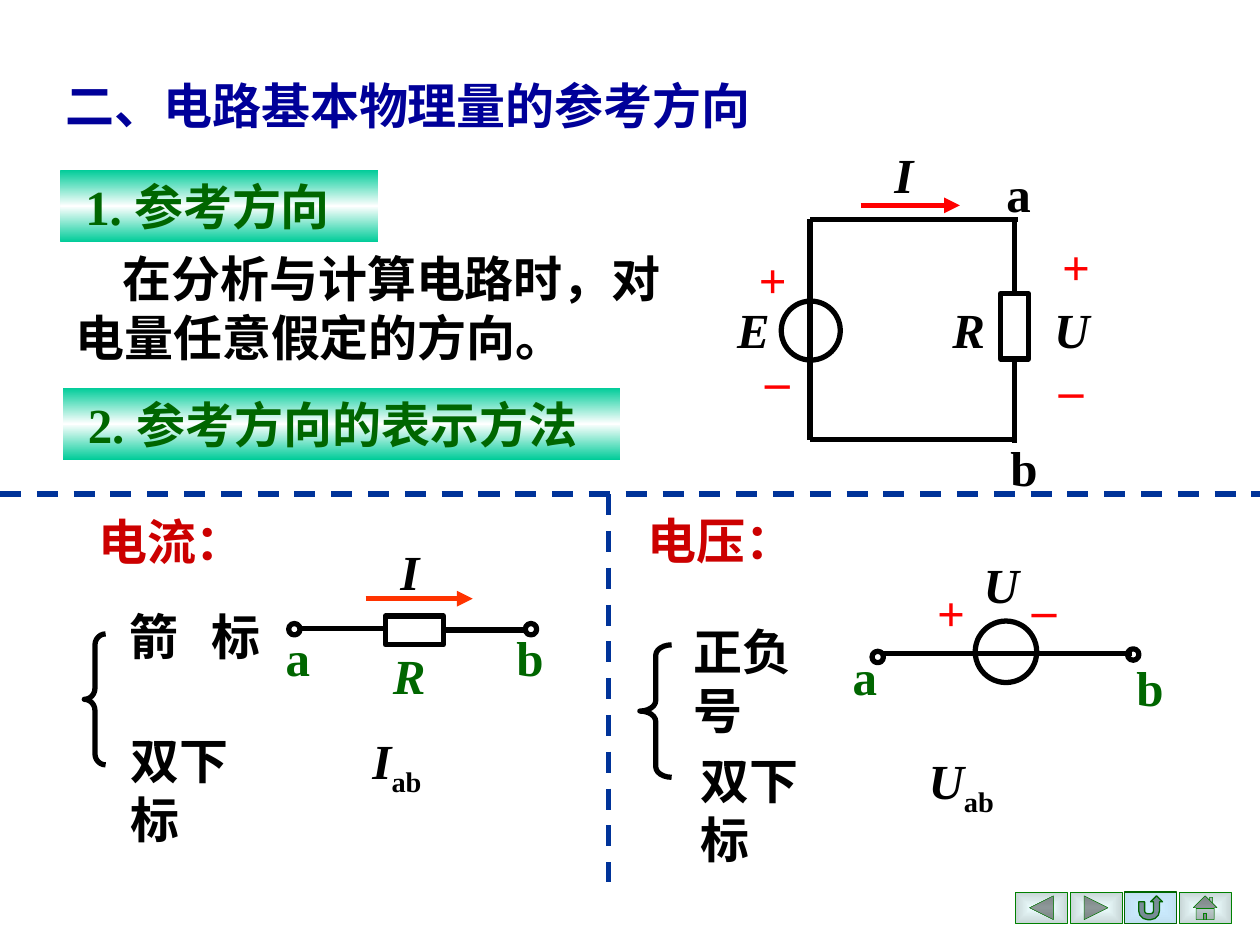
from lxml.etree import SubElement
from pptx import Presentation
from pptx.dml.color import RGBColor
from pptx.enum.dml import MSO_LINE
from pptx.enum.shapes import MSO_CONNECTOR, MSO_SHAPE
from pptx.enum.text import MSO_ANCHOR, MSO_AUTO_SIZE
from pptx.oxml import parse_xml
from pptx.oxml.ns import nsdecls, qn
from pptx.util import Cm, Pt

BLACK, RED, GREEN = "000000", "FF0000", "006600"
CRIMSON, NAVY, DIVIDER, ORANGE = "CC0000", "000099", "003399", "FF3300"
SERIF, SANS = "Times New Roman", "Lato"
LINE_HEIGHT = 1.45


def color(value):
    return RGBColor.from_string(value)


def add_span(para, text, tint, italic=False, font=SERIF, subscript=False):
    span = para.add_run()
    span.text = text
    span.font.name = font
    span.font.size = Pt(28)
    span.font.bold = True
    span.font.italic = italic
    span.font.color.rgb = color(tint)
    if subscript:
        span.font._element.set("baseline", "-25000")


def add_label(page, text, left, top, width, tint=BLACK, italic=False,
              wrap=False, height=LINE_HEIGHT, spacing=None):
    box = page.shapes.add_textbox(Cm(left), Cm(top), Cm(width), Cm(height))
    frame = box.text_frame
    frame.word_wrap = wrap
    frame.auto_size = MSO_AUTO_SIZE.SHAPE_TO_FIT_TEXT
    para = frame.paragraphs[0]
    if spacing:
        para.line_spacing = spacing
    add_span(para, text, tint, italic)
    return para


def set_indent(para, first_line):
    para._p.get_or_add_pPr().set("indent", str(Cm(first_line)))


def set_tab(para, position):
    stops = SubElement(para._p.get_or_add_pPr(), qn("a:tabLst"))
    SubElement(stops, qn("a:tab"), pos=str(Cm(position)), algn="l")


def set_gradient(shape, stops, direction):
    marks = "".join(f'<a:gs pos="{place * 1000}"><a:srgbClr val="{tint}"/></a:gs>'
                    for place, tint in stops)
    gradient = parse_xml(f'<a:gradFill {nsdecls("a")} rotWithShape="1">'
                         f'<a:gsLst>{marks}</a:gsLst>{direction}</a:gradFill>')
    shape._element.spPr.find(qn("a:prstGeom")).addnext(gradient)


def add_outline(page, kind, left, top, width, height, tint=BLACK, weight=3):
    shape = page.shapes.add_shape(kind, Cm(left), Cm(top), Cm(width), Cm(height))
    shape.shadow.inherit = False
    shape.fill.background()
    shape.line.color.rgb = color(tint)
    shape.line.width = Pt(weight)
    return shape


def add_circle(page, left, top, size):
    add_outline(page, MSO_SHAPE.OVAL, left, top, size, size)


def add_brace(page, left, top, width, height, curve):
    brace = add_outline(page, MSO_SHAPE.LEFT_BRACE, left, top, width, height)
    brace.adjustments[0] = curve


def add_wire(page, start, end, tint=BLACK, dashed=False, arrow=False):
    wire = page.shapes.add_connector(MSO_CONNECTOR.STRAIGHT, *map(Cm, start + end))
    wire.line.color.rgb = color(tint)
    wire.line.width = Pt(3)
    if dashed:
        wire.line.dash_style = MSO_LINE.DASH
    if arrow:
        SubElement(wire.line._get_or_add_ln(), qn("a:tailEnd"), type="triangle")
    SubElement(wire._element.spPr, qn("a:effectLst"))


def add_banner(page, number, text, left, top, width):
    banner = page.shapes.add_shape(MSO_SHAPE.RECTANGLE, Cm(left), Cm(top),
                                   Cm(width), Cm(LINE_HEIGHT))
    banner.shadow.inherit = False
    banner.line.fill.background()
    set_gradient(banner, [(0, "00CC99"), (50, "FFFFFF"), (100, "00CC99")],
                 '<a:lin ang="5400000" scaled="0"/>')
    frame = banner.text_frame
    frame.word_wrap = True
    frame.vertical_anchor = MSO_ANCHOR.TOP
    frame.margin_left = Cm(0.5)
    para = frame.paragraphs[0]
    para.alignment = 1
    add_span(para, number + " ", GREEN)
    add_span(para, text, GREEN, font=SANS)


def add_button(page, kind, left, stops, tint, weight):
    button = add_outline(page, kind, left, 17.98, 1.05, 0.64, tint, weight)
    button._element.spPr.remove(button._element.spPr.find(qn("a:noFill")))
    set_gradient(button, stops, '<a:path path="rect"><a:fillToRect l="50000" '
                 't="50000" r="50000" b="50000"/></a:path>')


def add_navigation(page):
    grey = [(0, "ECFDFE"), (100, "C7D5D6")], "008000", 0.25
    blue = [(0, "CCECFF"), (100, "C1E0F2")], GREEN, 0.75
    buttons = [(MSO_SHAPE.ACTION_BUTTON_BACK_OR_PREVIOUS, grey),
               (MSO_SHAPE.ACTION_BUTTON_FORWARD_OR_NEXT, grey),
               (MSO_SHAPE.ACTION_BUTTON_RETURN, blue),
               (MSO_SHAPE.ACTION_BUTTON_HOME, grey)]
    for index, (kind, style) in enumerate(buttons):
        add_button(page, kind, 20.47 + 1.1 * index, *style)


def add_introduction(page):
    add_label(page, "二、电路基本物理量的参考方向", 1.07, 1.17, 16.31, NAVY,
              wrap=True, height=1.68, spacing=1.2)
    add_banner(page, "1.", "参考方向", 1.22, 3.43, 6.4)
    body = add_label(page, "在分析与计算电路时，对电量任意假定的方向。",
                     1.27, 4.88, 13.23, wrap=True, height=2.64)
    set_indent(body, 0.95)
    add_banner(page, "2.", "参考方向的表示方法", 1.27, 7.82, 11.23)


def add_circuit(page):
    left, right, top, bottom = 16.33, 20.45, 4.42, 8.86
    add_wire(page, (17.35, 4.14), (19.35, 4.14), RED, arrow=True)
    for start, end in [((left, top), (20.52, top)),
                       ((left, bottom), (20.5, bottom)),
                       ((left, top), (left, bottom)),
                       ((right, top), (right, 5.89)),
                       ((right, 7.19), (right, 8.94))]:
        add_wire(page, start, end)
    add_circle(page, 15.75, 6.07, 1.19)
    add_outline(page, MSO_SHAPE.RECTANGLE, 20.17, 5.92, 0.56, 1.32)
    for label in [("I", 17.78, 2.79, 1.47, BLACK, True, True),
                  ("a", 20.04, 3.18, 0.99),
                  ("b", 20.12, 8.69, 1.04),
                  ("E", 14.61, 5.92, 1.17, BLACK, True),
                  ("R", 18.95, 5.92, 1.17, BLACK, True),
                  ("U", 21, 5.92, 1.22, BLACK, True),
                  ("+", 15.04, 4.9, 1.07, RED, True),
                  ("_", 15.24, 6.6, 0.99, RED, True),
                  ("+", 21.16, 4.65, 2.34, RED, False, True),
                  ("_", 21.16, 6.78, 1.27, RED, True, True)]:
        add_label(page, *label)


def add_current(page):
    add_label(page, "电流：", 1.73, 9.96, 4.62, CRIMSON, wrap=True,
              height=1.68, spacing=1.2)
    add_brace(page, 1.7, 12.78, 0.43, 2.64, 0.52)
    arrow_mark = add_label(page, "箭\t标", 2.36, 11.86, 4.19, wrap=True,
                           height=1.68, spacing=1.2)
    set_tab(arrow_mark, 1.65)
    add_wire(page, (6.02, 12.67), (7.77, 12.67))
    add_wire(page, (8.89, 12.7), (10.59, 12.7))
    add_outline(page, MSO_SHAPE.RECTANGLE, 7.77, 12.42, 1.17, 0.58)
    add_wire(page, (7.37, 12.07), (9.53, 12.07), ORANGE, arrow=True)
    for left in (5.82, 10.59):
        add_circle(page, left, 12.57, 0.23)
    for label in [("I", 7.82, 10.8, 1.27, BLACK, True, True),
                  ("a", 5.51, 12.52, 0.99, GREEN),
                  ("b", 10.16, 12.52, 1.04, GREEN),
                  ("R", 7.67, 12.88, 1.17, GREEN, True),
                  ("双下标", 2.39, 14.61, 3.45)]:
        add_label(page, *label)
    symbol = add_label(page, "I", 7.26, 14.61, 1.5, italic=True, height=1.6)
    add_span(symbol, "ab", BLACK, subscript=True)


def add_voltage(page):
    add_brace(page, 12.9, 13, 0.64, 2.67, 0.33)
    add_wire(page, (22.83, 13.18), (17.75, 13.18))
    add_circle(page, 19.66, 12.52, 1.24)
    add_circle(page, 22.73, 13.08, 0.23)
    add_circle(page, 17.58, 13.13, 0.23)
    for label in [("电压：", 12.8, 10.16, 3.45, CRIMSON),
                  ("正负号", 13.74, 12.4, 3.45),
                  ("双下标", 13.87, 15.01, 3.45),
                  ("+", 18.64, 11.61, 1.07, RED),
                  ("–", 20.55, 11.53, 0.99, RED),
                  ("a", 16.94, 12.9, 0.99, GREEN),
                  ("b", 22.66, 13.13, 1.04, GREEN)]:
        add_label(page, *label)
    add_label(page, "U", 19.58, 11.38, 1.57, italic=True, wrap=True,
              height=1.09, spacing=0.7)
    symbol = add_label(page, "U", 18.47, 15.01, 1.83, italic=True, height=1.6)
    add_span(symbol, "ab", BLACK, subscript=True)


def main():
    deck = Presentation()
    deck.slide_width, deck.slide_height = Cm(25.4), Cm(19.05)
    page = deck.slides.add_slide(deck.slide_layouts[6])
    add_navigation(page)
    add_wire(page, (0, 9.96), (25.4, 9.96), DIVIDER, dashed=True)
    add_wire(page, (12.27, 9.96), (12.27, 17.78), DIVIDER, dashed=True)
    add_introduction(page)
    add_circuit(page)
    add_current(page)
    add_voltage(page)
    deck.save("out.pptx")


if __name__ == "__main__":
    main()
